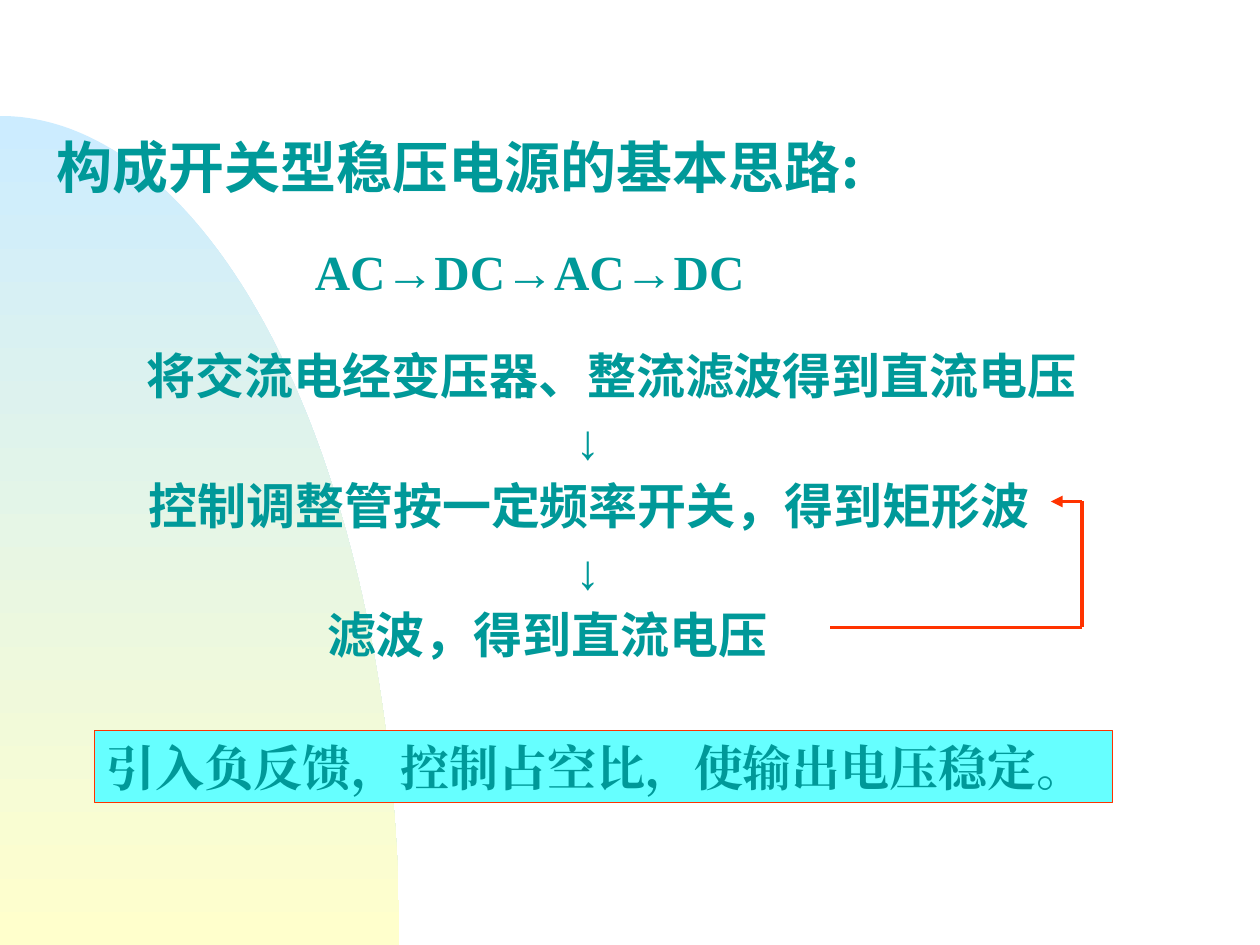
import math

from lxml import etree
from pptx import Presentation
from pptx import util as u
from pptx.dml.color import RGBColor
from pptx.enum import shapes, text
from pptx.oxml import ns

Pt = u.Pt
TEAL = RGBColor(0x00, 0x99, 0x99)
RED = RGBColor(0xFF, 0x33, 0x00)
CYAN = RGBColor(0x66, 0xFF, 0xFF)
SKY = RGBColor(0xCC, 0xEC, 0xFF)
CREAM = RGBColor(0xFF, 0xFF, 0xCC)


def write(p, content, font="Arial", size=28, bold=True, spacing=37, indent=0):
    pPr = p._p.get_or_add_pPr()
    pPr.set("marL", str(Pt(indent)))
    pPr.set("indent", "0")
    p.alignment = text.PP_ALIGN.LEFT
    p.line_spacing = spacing
    r = p.add_run()
    r.text = content
    r.font.name = font
    r.font.size = Pt(size)
    r.font.bold = bold
    r.font.color.rgb = TEAL
    ea = etree.SubElement(r._r.get_or_add_rPr(), ns.qn("a:ea"))
    ea.set("typeface", font)


class Deck:
    line_width = 2.25

    def __init__(self, width, height):
        self.prs = Presentation()
        self.prs.slide_width, self.prs.slide_height = Pt(width), Pt(height)
        self.s = self.prs.slides.add_slide(self.prs.slide_layouts[6])

    def quarter_ellipse(self, rx, ry, bottom, steps=90):
        angles = [math.pi / 2 * i / steps for i in range(steps + 1)]
        arc = [(Pt(rx * math.sin(a)), Pt(bottom - ry * math.cos(a))) for a in angles]
        builder = self.s.shapes.build_freeform(0, Pt(bottom))
        builder.add_line_segments(arc, close=True)
        sp = builder.convert_to_shape()
        sp.shadow.inherit = False
        sp.line.fill.background()
        sp.fill.gradient()
        sp.fill.gradient_angle = 270
        for stop, color in zip(sp.fill.gradient_stops, (SKY, CREAM)):
            stop.color.rgb = color

    def fill_text(self, sp, lines, anchor=text.MSO_ANCHOR.TOP, **style):
        tf = sp.text_frame
        tf.word_wrap = True
        tf.vertical_anchor = anchor
        for i, (content, extra) in enumerate(lines):
            p = tf.add_paragraph() if i else tf.paragraphs[0]
            write(p, content, **{**style, **extra})

    def text_box(self, x, y, w, h, lines, **style):
        sp = self.s.shapes.add_textbox(Pt(x), Pt(y), Pt(w), Pt(h))
        self.fill_text(sp, lines, **style)

    def panel(self, x, y, w, h, lines, **style):
        sp = self.s.shapes.add_shape(
            shapes.MSO_SHAPE.RECTANGLE, Pt(x), Pt(y), Pt(w), Pt(h))
        sp.shadow.inherit = False
        sp.fill.solid()
        sp.fill.fore_color.rgb = CYAN
        sp.line.color.rgb = RED
        sp.line.width = Pt(0.75)
        self.fill_text(sp, lines, **style)

    def line(self, start, end, arrow=False):
        c = self.s.shapes.add_connector(
            shapes.MSO_CONNECTOR.STRAIGHT, *(Pt(v) for v in start + end))
        c.line.color.rgb = RED
        c.line.width = Pt(self.line_width)
        if arrow:
            tail = etree.SubElement(c.line._get_or_add_ln(), ns.qn("a:tailEnd"))
            tail.set("type", "triangle")
        etree.SubElement(c._element.spPr, ns.qn("a:effectLst"))

    def route(self, points):
        last = len(points) - 2
        for i, (start, end) in enumerate(zip(points, points[1:])):
            self.line(start, end, arrow=i == last)


def main():
    deck = Deck(720, 540)
    deck.quarter_ellipse(228.24, 473.76, 540)
    deck.text_box(25.2, 77.04, 541.44, 41.76,
                  [("构成开关型稳压电源的基本思路:", {})],
                  anchor=text.MSO_ANCHOR.MIDDLE,
                  font="Noto Sans CJK SC", size=32, spacing=0.85)
    arrow = ("↓", {"indent": 257})
    deck.text_box(64.8, 190.8, 581.76, 198.72, [
        ("将交流电经变压器、整流滤波得到直流电压", {"indent": 12}),
        arrow,
        ("控制调整管按一定频率开关，得到矩形波", {"indent": 13}),
        arrow,
        ("滤波，得到直流电压", {"indent": 115}),
    ][:4] + [("滤波，得到直流电压", {"indent": 115})], spacing=Pt(37))
    deck.route([(474.48, 358.56), (618.48, 358.56),
                (618.48, 286.56), (600.48, 286.56)])
    serif = {"font": "Times New Roman", "spacing": Pt(34)}
    deck.panel(54, 417.6, 581.76, 41.04,
               [("引入负反馈，控制占空比，使输出电压稳定。", {})], **serif)
    deck.text_box(172.8, 133.92, 396.72, 41.04,
                  [("AC→DC→AC→DC", {})], **serif)
    deck.prs.save("out.pptx")


if __name__ == "__main__":
    main()
